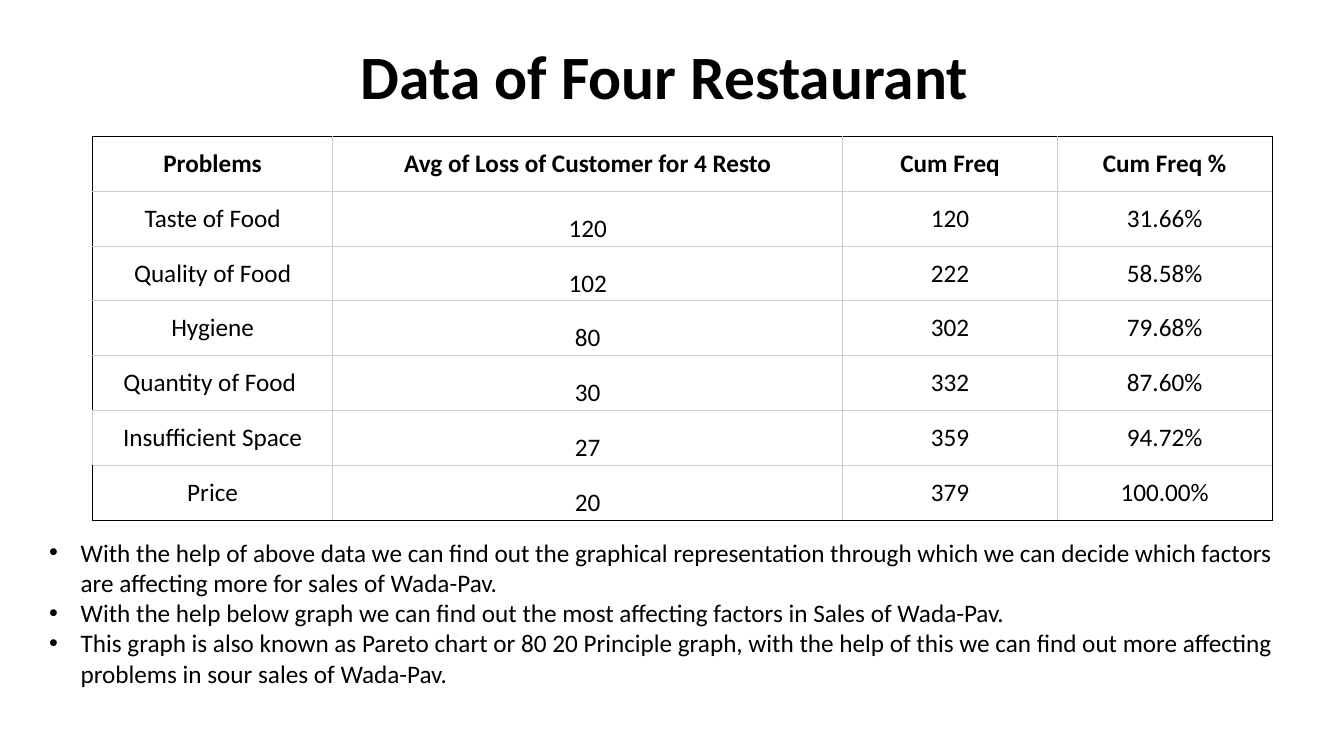
from lxml import etree
from pptx import Presentation
from pptx.dml.color import RGBColor
from pptx.enum.text import MSO_ANCHOR, MSO_AUTO_SIZE, PP_ALIGN
from pptx.oxml.ns import qn
from pptx.util import Pt

CENTER = PP_ALIGN.CENTER
MIDDLE, BOTTOM = MSO_ANCHOR.MIDDLE, MSO_ANCHOR.BOTTOM
GROW = MSO_AUTO_SIZE.SHAPE_TO_FIT_TEXT

BLACK = RGBColor(0x00, 0x00, 0x00)
GREY = RGBColor(0xCC, 0xCC, 0xCC)
FONT = "Calibri"
BODY_SIZE = 18

TITLE = "Data of Four Restaurant "
COLUMN_WIDTHS = [171.4, 364.4, 153.3, 153.3]
ROW_HEIGHT = 39.17
PROBLEM_ROWS = [
    ("Problems", "Avg of Loss of Customer for 4 Resto", "Cum Freq", "Cum Freq %"),
    ("Taste of Food", "120", "120", "31.66%"),
    ("Quality of Food", "102", "222", "58.58%"),
    ("Hygiene", "80", "302", "79.68%"),
    ("Quantity of Food ", "30", "332", "87.60%"),
    ("Insufficient Space", "27", "359", "94.72%"),
    ("Price", "20", "379", "100.00%"),
]
LOSS_COLUMN = 1
OPEN_LEFT_ROW = 5  # the outer frame is grey beside this row
FINDINGS = [
    "With the help of above data we can find out the graphical representation "
    "through which we can decide which factors\vare affecting more for sales of Wada-Pav.",
    "With the help below graph we can find out the most affecting factors in Sales of Wada-Pav.",
    "This graph is also known as Pareto chart or 80 20 Principle graph, with the help "
    "of this we can find out more affecting \vproblems in sour sales of Wada-Pav.",
]


def style_paragraph(paragraph, text, size, bold=False, align=None):
    paragraph.text = text
    paragraph.alignment = align
    font = paragraph.font
    font.name, font.size, font.bold = FONT, Pt(size), bold
    font.color.rgb = BLACK


def add_title(slide):
    frame = slide.shapes.add_textbox(Pt(66), Pt(29), Pt(828), Pt(56)).text_frame
    frame.word_wrap = True
    frame.vertical_anchor = MIDDLE
    heading = frame.paragraphs[0]
    style_paragraph(heading, TITLE, 44, True, CENTER)
    heading.line_spacing = 0.9


def set_borders(cell, colors):
    """Draw the left, right, top and bottom borders, in that order."""
    properties = cell._tc.get_or_add_tcPr()
    for position, (side, color) in enumerate(zip("LRTB", colors)):
        border = etree.Element(qn(f"a:ln{side}"), w=str(Pt(0.75)))
        fill = etree.SubElement(border, qn("a:solidFill"))
        etree.SubElement(fill, qn("a:srgbClr"), val=str(color))
        properties.insert(position, border)


def fill_cell(cell, text, bold, anchor):
    cell.fill.background()
    cell.vertical_anchor = anchor
    cell.margin_left = cell.margin_right = Pt(2.25)
    cell.margin_top = cell.margin_bottom = Pt(1.5)
    style_paragraph(cell.text_frame.paragraphs[0], text, BODY_SIZE, bold, CENTER)


def add_problem_table(slide):
    row_count, column_count = len(PROBLEM_ROWS), len(COLUMN_WIDTHS)
    table = slide.shapes.add_table(
        row_count, column_count, Pt(66.2), Pt(97.5),
        Pt(sum(COLUMN_WIDTHS)), Pt(ROW_HEIGHT * row_count)).table
    table.first_row = table.horz_banding = False
    for column, width in zip(table.columns, COLUMN_WIDTHS):
        column.width = Pt(width)
    for r, values in enumerate(PROBLEM_ROWS):
        table.rows[r].height = Pt(ROW_HEIGHT)
        for c, value in enumerate(values):
            cell = table.cell(r, c)
            anchor = BOTTOM if r > 0 and c == LOSS_COLUMN else MIDDLE
            fill_cell(cell, value, r == 0, anchor)
            on_frame = (c == 0 and r != OPEN_LEFT_ROW, c == column_count - 1,
                        r == 0, r == row_count - 1)
            set_borders(cell, [BLACK if outer else GREY for outer in on_frame])


def add_bullet(paragraph, indent):
    properties = paragraph._p.get_or_add_pPr()
    properties.set("marL", str(Pt(indent)))
    properties.set("indent", str(-Pt(indent)))
    bullet_font = etree.Element(qn("a:buFont"), typeface="Arial")
    bullet = etree.Element(qn("a:buChar"), char="•")
    properties.insert(0, bullet_font)
    properties.insert(1, bullet)


def add_findings(slide):
    frame = slide.shapes.add_textbox(Pt(28), Pt(380), Pt(903.6), Pt(160)).text_frame
    frame.word_wrap = False
    frame.auto_size = GROW
    for i, finding in enumerate(FINDINGS):
        paragraph = frame.paragraphs[0] if i == 0 else frame.add_paragraph()
        style_paragraph(paragraph, finding, BODY_SIZE)
        add_bullet(paragraph, 22.5)


def main():
    deck = Presentation()
    deck.slide_width, deck.slide_height = Pt(960), Pt(540)
    slide = deck.slides.add_slide(deck.slide_layouts[6])
    add_title(slide)
    add_problem_table(slide)
    add_findings(slide)
    deck.save("out.pptx")


main()
